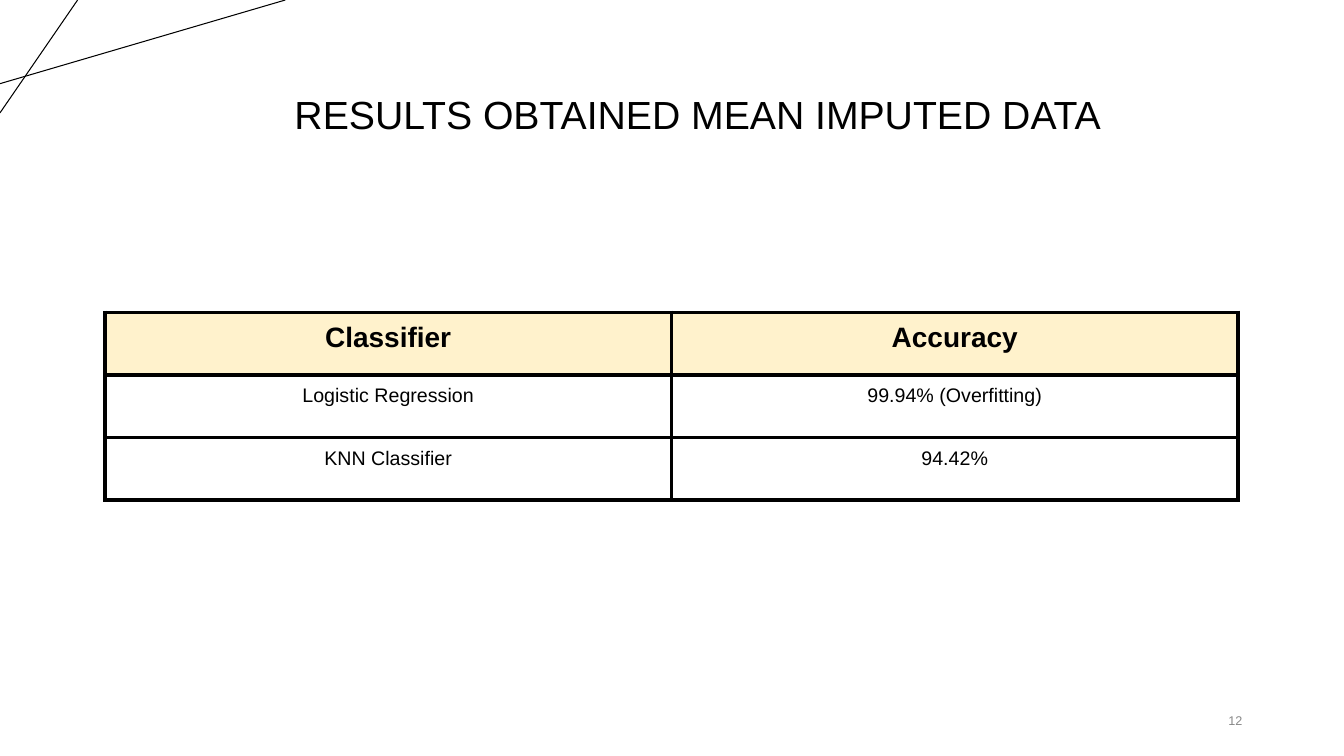
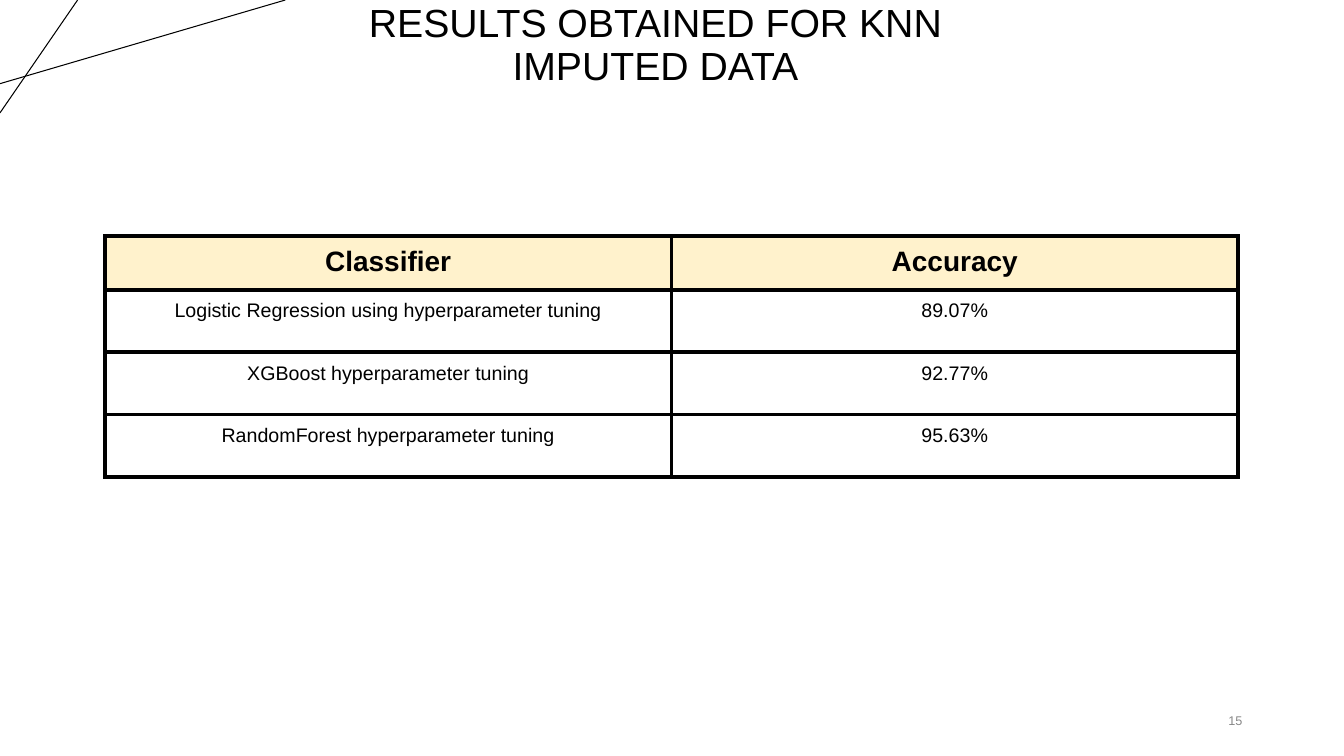
"""Build two slides that tabulate classifier accuracy."""
from lxml import etree
from pptx import Presentation
from pptx.dml.color import RGBColor
from pptx.enum import shapes, text as t
from pptx.oxml import ns
from pptx.util import Inches, Pt

COLORS = {"ink": "000000", "head": "FFF2CC", "page": "FFFFFF", "num": "888888"}
FONT = "Arial"
LINES = [(0, 0.83, 2.83, 0), (0.77, 0, 0, 1.12)]
HEAD = ("Classifier", "Accuracy")
LEFT, COL, ROW = 1.04, 5.62, 0.62
SLIDES = [
    {
        "title": "RESULTS OBTAINED MEAN IMPUTED DATA",
        "box": (0.92, 0.4, 11.5, 1.45),
        "style": {"anchor": t.MSO_ANCHOR.MIDDLE, "indent": 0.5},
        "page": "12",
        "top": 3.1,
        "first": ROW,
        "rows": [
            ("Logistic Regression", "99.94% (Overfitting)"),
            ("KNN Classifier", "94.42%"),
        ],
    },
    {
        "title": "RESULTS OBTAINED FOR KNN IMPUTED DATA",
        "box": (2.95, 0.08, 7.1, 0.85),
        "style": {"anchor": t.MSO_ANCHOR.BOTTOM, "space": 0.9},
        "page": "15",
        "top": 2.34,
        "first": 0.51,
        "rows": [
            ("Logistic Regression using hyperparameter tuning", "89.07%"),
            ("XGBoost hyperparameter tuning", "92.77%"),
            ("RandomForest hyperparameter tuning", "95.63%"),
        ],
    },
]


def rgb(name):
    return RGBColor.from_string(COLORS[name])


def write(frame, text, size=14, color="ink", bold=False,
          align=t.PP_ALIGN.CENTER, space=None, indent=0):
    para = frame.paragraphs[0]
    para.alignment = align
    if space:
        para.line_spacing = space
    if indent:
        para._p.get_or_add_pPr().set("indent", str(Inches(indent)))
    run = para.add_run()
    run.text = text
    font = run.font
    font.name, font.size, font.bold = FONT, Pt(size), bold
    font.color.rgb = rgb(color)


def add_text(slide, box, text, anchor=t.MSO_ANCHOR.MIDDLE, **style):
    frame = slide.shapes.add_textbox(*map(Inches, box)).text_frame
    frame.word_wrap = True
    frame.vertical_anchor = anchor
    write(frame, text, **style)


def add_lines(slide):
    for ends in LINES:
        line = slide.shapes.add_connector(
            shapes.MSO_CONNECTOR.STRAIGHT, *map(Inches, ends))
        line.line.color.rgb = rgb("ink")
        line.line.width = Pt(0.75)
        etree.SubElement(line._element.spPr, ns.qn("a:effectLst"))


def add_border(cell):
    props = cell._tc.get_or_add_tcPr()
    for side in ("lnL", "lnR", "lnT", "lnB"):
        edge = etree.SubElement(props, ns.qn(f"a:{side}"), w=str(Pt(3)))
        fill = etree.SubElement(edge, ns.qn("a:solidFill"))
        etree.SubElement(fill, ns.qn("a:srgbClr"), val=COLORS["ink"])


def add_grid(slide, top, first, rows):
    data = [HEAD, *rows]
    high = first + ROW * len(rows)
    box = (LEFT, top, COL * len(HEAD), high)
    grid = slide.shapes.add_table(
        len(data), len(HEAD), *map(Inches, box)).table
    for col in grid.columns:
        col.width = Inches(COL)
    for r, row in enumerate(data):
        head = r == 0
        grid.rows[r].height = Inches(first if head else ROW)
        for c, text in enumerate(row):
            cell = grid.cell(r, c)
            cell.margin_left = cell.margin_right = Inches(0.1)
            cell.margin_top = cell.margin_bottom = Inches(0.1)
            add_border(cell)
            if head:
                cell.fill.solid()
                cell.fill.fore_color.rgb = rgb("head")
            else:
                cell.fill.background()
            write(cell.text_frame, text, size=20 if head else 14, bold=head)


def add_slide(deck, item):
    slide = deck.slides.add_slide(deck.slide_layouts[6])
    slide.background.fill.solid()
    slide.background.fill.fore_color.rgb = rgb("page")
    add_lines(slide)
    add_text(slide, item["box"], item["title"], size=28, **item["style"])
    add_text(slide, (9.42, 6.95, 3, 0.4), item["page"], size=9,
             color="num", align=t.PP_ALIGN.RIGHT)
    add_grid(slide, item["top"], item["first"], item["rows"])


def main():
    deck = Presentation()
    deck.slide_width, deck.slide_height = Inches(13.33), Inches(7.5)
    for item in SLIDES:
        add_slide(deck, item)
    deck.save("out.pptx")


if __name__ == "__main__":
    main()
